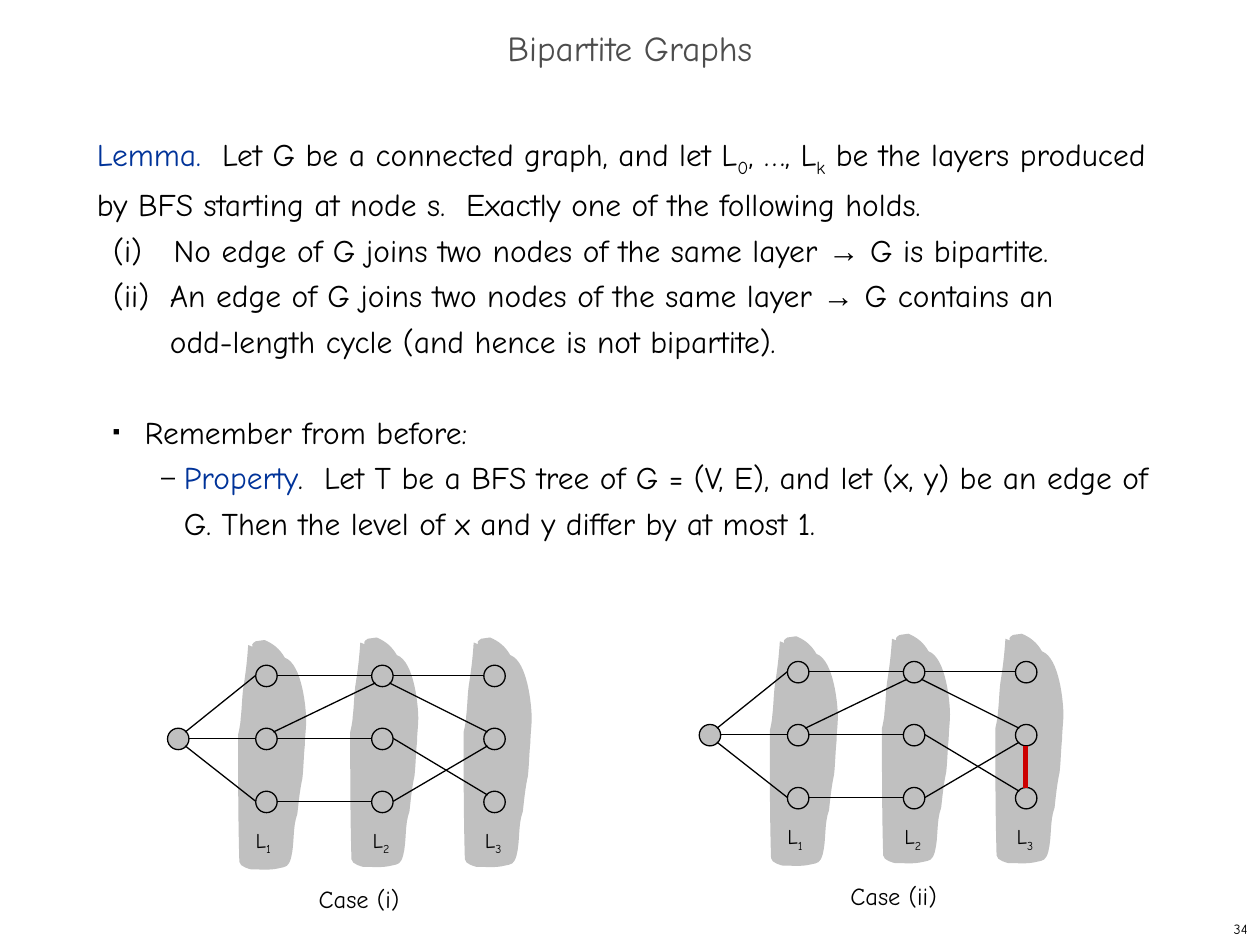
from dataclasses import dataclass
from typing import NamedTuple

from lxml.etree import SubElement
from pptx import Presentation
from pptx.dml.color import RGBColor
from pptx.enum.shapes import MSO_CONNECTOR as CONN, MSO_SHAPE as SHAPE
from pptx.enum.text import MSO_ANCHOR as ANCHOR, MSO_AUTO_SIZE as FIT, PP_ALIGN as ALIGN
from pptx.oxml.ns import qn
from pptx.util import Inches, Pt


@dataclass(frozen=True)
class Theme:
    font: str = "Comic Neue"
    symbol_font: str = "Arial"
    ink: str = "000000"
    title: str = "4D4D4D"
    accent: str = "003399"
    gray: str = "C0C0C0"
    red: str = "CC0000"
    title_pt: int = 20
    body_pt: int = 18
    case_pt: int = 14
    label_pt: int = 12
    number_pt: int = 8
    leading_pt: int = 26
    line_pt: float = 0.74


class Run(NamedTuple):
    text: str
    color: str = Theme.ink
    font: str = Theme.font
    sub: bool = False


class Edge(NamedTuple):
    start: tuple  # column, row
    start_site: str
    end: tuple
    end_site: str


@dataclass(frozen=True)
class Case:
    name: str
    dx: float
    dy: float
    odd_cycle: bool


T = Theme()
prs = Presentation()
prs.slide_width, prs.slide_height = Inches(10), Inches(7.5)
s = prs.slides.add_slide(prs.slide_layouts[6])


def rgb(color: str) -> RGBColor:
    return RGBColor.from_string(color)


# Text helpers
def add_runs(p, runs: list, size: float) -> None:
    for run in runs:
        if run.text == "\n":
            p.add_line_break()
            continue
        r = p.add_run()
        r.text = run.text
        r.font.size, r.font.name = Pt(size), run.font
        r.font.color.rgb = rgb(run.color)
        if run.sub:
            r.font._element.set("baseline", "-25000")


def add_text(runs: list, x: float, y: float, w: float, h: float, *, size: float,
             align=ALIGN.LEFT, anchor=ANCHOR.TOP, wrap: bool = True, spacing=None):
    tf = s.shapes.add_textbox(Inches(x), Inches(y), Inches(w), Inches(h)).text_frame
    tf.word_wrap, tf.vertical_anchor = wrap, anchor
    if not wrap:
        tf.auto_size = FIT.SHAPE_TO_FIT_TEXT
    p = tf.paragraphs[0]
    p.alignment, p.line_spacing = align, spacing
    add_runs(p, runs, size)
    return tf


def add_item(tf, runs: list, *, left: float, hang: float, bullet: str = "",
             bullet_pct: int = 100, before: float = 0) -> None:
    p = tf.add_paragraph()
    p.line_spacing, p.space_before = Pt(T.leading_pt), Pt(before)
    pPr = p._p.get_or_add_pPr()
    pPr.set("marL", str(Inches(left)))
    pPr.set("indent", str(Inches(-hang)))
    if bullet:
        color = SubElement(pPr, qn("a:buClr"))
        SubElement(color, qn("a:srgbClr")).set("val", T.ink)
        SubElement(pPr, qn("a:buSzPct")).set("val", str(bullet_pct * 1000))
        SubElement(pPr, qn("a:buFont")).set("typeface", T.symbol_font)
        SubElement(pPr, qn("a:buChar")).set("char", bullet)
    add_runs(p, runs, T.body_pt)


# Layer outline: a start point, then cubic curves (two controls, one end)
LAYER_START = (0.08, 0.04)
LAYER_CURVES = [
    ((0.07, 0.19), (0.06, 0.26), (0.04, 0.39)),
    ((0.03, 0.47), (0.03, 0.55), (0.02, 0.63)),
    ((0.02, 0.67), (0, 0.75), (0, 0.75)),
    ((0, 1.09), (0, 1.43), (0.01, 1.76)),
    ((0.01, 1.8), (0.1, 1.82), (0.1, 1.82)),
    ((0.18, 1.82), (0.25, 1.83), (0.33, 1.81)),
    ((0.38, 1.8), (0.4, 1.8), (0.42, 1.73)),
    ((0.45, 1.61), (0.43, 1.49), (0.47, 1.38)),
    ((0.48, 1.29), (0.49, 1.19), (0.51, 1.1)),
    ((0.52, 1.01), (0.52, 0.92), (0.53, 0.83)),
    ((0.53, 0.77), (0.54, 0.7), (0.54, 0.64)),
    ((0.54, 0.55), (0.51, 0.19), (0.37, 0.14)),
    ((0.33, 0.07), (0.28, 0.03), (0.21, 0)),
    ((0.19, 0.01), (0.16, 0), (0.14, 0.01)),
    ((0.07, 0.05), (0.16, 0.07), (0.08, 0.04)),
]


def add_layer(x: float, y: float) -> None:
    fb = s.shapes.build_freeform(Inches(x + LAYER_START[0]), Inches(y + LAYER_START[1]))
    fb.add_line_segments([(Inches(x + px), Inches(y + py))
                          for curve in LAYER_CURVES for px, py in curve])
    sp = fb.convert_to_shape()
    # Merge every three line segments into one cubic curve
    segments = list(sp._element.iter(qn("a:lnTo")))
    for n in range(0, len(segments) - 2, 3):
        first, *others = segments[n:n + 3]
        first.tag = qn("a:cubicBezTo")
        for segment in others:
            first.append(segment[0])
            segment.getparent().remove(segment)
    sp.shadow.inherit = False
    sp.fill.solid()
    sp.fill.fore_color.rgb = rgb(T.gray)
    sp.line.fill.background()


# Graph geometry: node boxes, and edge ends measured from a node's top left
NODE = 0.17
COLUMNS = [1.33, 2.03, 2.95, 3.84]
ROWS = [5.28, 5.78, 6.28]
LAYERS = [(3.68, 5.06), (2.78, 5.06), (1.89, 5.08)]
NODES = [(0, 1)] + [(col, row) for col in (1, 2, 3) for row in range(3)]
MID, NEAR, FAR = 0.08, 0.03, 0.14
SITES = {"l": (0, MID), "r": (NODE, MID), "t": (MID, 0), "b": (MID, NODE),
         "tl": (NEAR, NEAR), "tr": (FAR, NEAR), "bl": (NEAR, FAR), "br": (FAR, FAR)}
EDGES = [
    Edge((0, 1), "tr", (1, 0), "l"), Edge((0, 1), "r", (1, 1), "l"),
    Edge((0, 1), "br", (1, 2), "l"),
    *[Edge((1, row), "r", (2, row), "l") for row in range(3)],
    Edge((1, 1), "tr", (2, 0), "bl"), Edge((2, 0), "r", (3, 0), "l"),
    Edge((2, 0), "br", (3, 1), "tl"), Edge((2, 1), "r", (3, 2), "tl"),
    Edge((2, 2), "r", (3, 1), "bl"),
]
ODD_EDGE = Edge((3, 2), "t", (3, 1), "b")


def add_node(x: float, y: float) -> None:
    sp = s.shapes.add_shape(SHAPE.OVAL, Inches(x), Inches(y), Inches(NODE), Inches(NODE))
    sp.shadow.inherit = False
    sp.fill.solid()
    sp.fill.fore_color.rgb = rgb(T.gray)
    sp.line.color.rgb, sp.line.width = rgb(T.ink), Pt(T.line_pt)


def add_edge(edge: Edge, case: Case, *, color: str = T.ink, width: float = T.line_pt) -> None:
    ends = []
    for (col, row), site in (edge[:2], edge[2:]):
        sx, sy = SITES[site]
        ends += [Inches(COLUMNS[col] + case.dx + sx), Inches(ROWS[row] + case.dy + sy)]
    line = s.shapes.add_connector(CONN.STRAIGHT, *ends)
    line.line.color.rgb, line.line.width = rgb(color), Pt(width)
    SubElement(line._element.spPr, qn("a:effectLst"))


def add_graph(case: Case) -> None:
    for x, y in LAYERS:
        add_layer(x + case.dx, y + case.dy)
    for col, row in NODES:
        add_node(COLUMNS[col] + case.dx, ROWS[row] + case.dy)
    for edge in EDGES:
        add_edge(edge, case)
    add_text([Run(case.name)], 2.43 + case.dx, 6.97 + case.dy, 0.89, 0.33,
             size=T.case_pt, wrap=False)
    for n, x in enumerate((1.93, 2.86, 3.75), 1):
        add_text([Run("L"), Run(str(n), sub=True)], x + case.dx, 6.52 + case.dy, 0.34, 0.33,
                 size=T.label_pt, wrap=False)
    if case.odd_cycle:
        add_edge(ODD_EDGE, case, color=T.red, width=3)


# Slide number and title
add_text([Run("34")], 7.92, 7.25, 2.08, 0.25, size=T.number_pt,
         align=ALIGN.RIGHT, anchor=ANCHOR.MIDDLE)
add_text([Run("Bipartite Graphs", T.title)], 0, 0.17, 10, 0.5, size=T.title_pt,
         align=ALIGN.CENTER, anchor=ANCHOR.MIDDLE, spacing=0.7)

# Lemma and property
ARROW = Run("→", font=T.symbol_font)
body = add_text(
    [Run("Lemma.  ", T.accent), Run("Let G be a connected graph, and let L"), Run("0", sub=True),
     Run(", …, L"), Run("k", sub=True),
     Run(" be the layers produced by BFS starting at node s.  "
         "Exactly one of the following holds.")],
    0.67, 1, 8.58, 5.92, size=T.body_pt, spacing=Pt(T.leading_pt))
add_item(body, [Run("(i)\tNo edge of G joins two nodes of the same layer "), ARROW,
                Run(" G is bipartite.")], left=0.61, hang=0.48)
add_item(body, [Run("(ii)\tAn edge of G joins two nodes of the same layer "), ARROW,
                Run(" G contains an"), Run("\n"),
                Run("odd-length cycle (and hence is not bipartite).")], left=0.58, hang=0.45)
add_item(body, [Run("Remember from before:")], left=0.38, hang=0.25,
         bullet="■", bullet_pct=35, before=T.leading_pt)
add_item(body, [Run("Property", T.accent),
                Run(".  Let T be a BFS tree of G = (V, E), and let (x, y) be an edge of G. "
                    "Then the level of x and y differ by at most 1.")],
         left=0.69, hang=0.18, bullet="–", bullet_pct=80)

# The two cases
for case in (Case("Case (i)", 0, 0, False), Case("Case (ii)", 4.22, -0.03, True)):
    add_graph(case)

prs.save("out.pptx")
